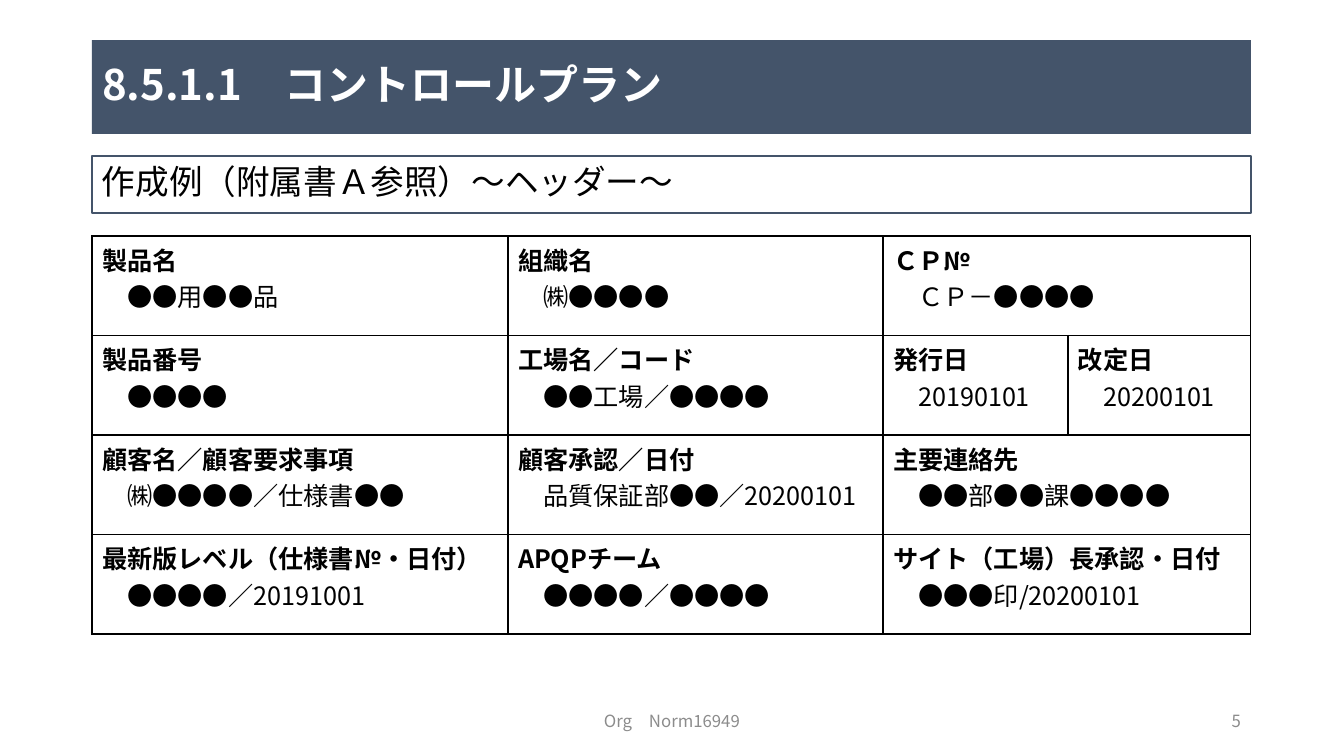
from dataclasses import dataclass

from lxml.etree import SubElement
from pptx import Presentation
from pptx.dml.color import RGBColor
from pptx.enum.shapes import MSO_SHAPE as Preset
from pptx.enum.text import MSO_ANCHOR as Anchor, MSO_AUTO_SIZE as AutoSize, PP_ALIGN as Align
from pptx.oxml.ns import qn
from pptx.util import Pt

EMU_PER_PIXEL = 914400 / 100.8
LEFT, WIDTH = 92, 1159


@dataclass(frozen=True)
class Theme:
    """Font, colours and type sizes of the slide."""
    font: str = "Noto Sans CJK JP"
    navy: str = "44546A"
    white: str = "FFFFFF"
    black: str = "000000"
    grey: str = "8C8C8C"
    title: int = 30
    subtitle: int = 24
    cell: int = 18
    footer: int = 12
    line: int = 1


THEME = Theme()
COLUMN_WIDTHS = (416, 375, 185, 183)
TABLE_TOP, TABLE_HEIGHT = 236, 398

# Each row holds (label, value) pairs; the last pair spans any columns left over.
HEADER_FIELDS = (
    (("製品名", "●●用●●品"), ("組織名", "㈱●●●●"), ("ＣＰ№", "ＣＰ－●●●●")),
    (("製品番号", "●●●●"), ("工場名／コード", "●●工場／●●●●"),
     ("発行日", "20190101"), ("改定日", "20200101")),
    (("顧客名／顧客要求事項", "㈱●●●●／仕様書●●"),
     ("顧客承認／日付", "品質保証部●●／20200101"),
     ("主要連絡先", "●●部●●課●●●●")),
    (("最新版レベル（仕様書№・日付）", "●●●●／20191001"),
     ("APQPチーム", "●●●●／●●●●"),
     ("サイト（工場）長承認・日付", "●●●印/20200101")),
)


def px(pixels):
    """Turn pixels into EMU."""
    return round(pixels * EMU_PER_PIXEL)


def box(left, top, width, height):
    """Turn a pixel box into EMU lengths."""
    return tuple(px(length) for length in (left, top, width, height))


def rgb(colour):
    """Turn a hex string into a colour."""
    return RGBColor.from_string(colour)


def write(paragraph, text, size, colour, bold=False, align=Align.LEFT):
    """Fill a paragraph with text in the theme font."""
    paragraph.text = text
    paragraph.alignment = align
    font = paragraph.font
    font.name, font.size, font.bold = THEME.font, Pt(size), bold
    font.color.rgb = rgb(colour)
    properties = paragraph._p.pPr.find(qn("a:defRPr"))
    SubElement(properties, qn("a:ea"), typeface=THEME.font)


def set_frame(frame, anchor):
    """Wrap text inside a fixed frame."""
    frame.word_wrap = True
    frame.auto_size = AutoSize.NONE
    frame.vertical_anchor = anchor


def add_title(slide, text):
    """Place the title placeholder as a filled band."""
    title = slide.shapes.title
    title.left, title.top, title.width, title.height = box(LEFT, 40, WIDTH, 94)
    title.fill.solid()
    title.fill.fore_color.rgb = rgb(THEME.navy)
    set_frame(title.text_frame, Anchor.MIDDLE)
    paragraph = title.text_frame.paragraphs[0]
    write(paragraph, text, THEME.title, THEME.white, bold=True)
    paragraph.line_spacing = 0.9


def add_subtitle(slide, text):
    """Add the outlined subtitle box."""
    shape = slide.shapes.add_shape(Preset.RECTANGLE, *box(LEFT, 156, WIDTH, 57))
    shape.shadow.inherit = False
    shape.fill.background()
    shape.line.color.rgb = rgb(THEME.navy)
    shape.line.width = Pt(THEME.line)
    set_frame(shape.text_frame, Anchor.TOP)
    write(shape.text_frame.paragraphs[0], text, THEME.subtitle, THEME.black)


def add_footer(slide, text, left, width, align):
    """Add one grey text box on the footer line."""
    frame = slide.shapes.add_textbox(*box(left, 701, width, 40)).text_frame
    set_frame(frame, Anchor.MIDDLE)
    write(frame.paragraphs[0], text, THEME.footer, THEME.grey, align=align)


def set_borders(cell):
    """Draw a solid line on all four sides of a cell."""
    properties = cell._tc.get_or_add_tcPr()
    for index, side in enumerate(("lnL", "lnR", "lnT", "lnB")):
        line = SubElement(properties, qn(f"a:{side}"), w=str(Pt(THEME.line)))
        fill = SubElement(line, qn("a:solidFill"))
        SubElement(fill, qn("a:srgbClr"), val=THEME.black)
        properties.insert(index, line)


def fill_cell(cell, label, value):
    """Write a bold label with its value, set in by one character, below."""
    frame = cell.text_frame
    write(frame.paragraphs[0], label, THEME.cell, THEME.black, bold=True)
    write(frame.add_paragraph(), f"\u3000{value}", THEME.cell, THEME.black)


def add_header_table(slide):
    """Add the control plan header table."""
    row_count, column_count = len(HEADER_FIELDS), len(COLUMN_WIDTHS)
    table = slide.shapes.add_table(
        row_count, column_count, *box(LEFT, TABLE_TOP, WIDTH, TABLE_HEIGHT)).table
    table.first_row = table.horz_banding = False
    for column, width in zip(table.columns, COLUMN_WIDTHS):
        column.width = px(width)
    for row in table.rows:
        row.height = px(TABLE_HEIGHT / row_count)
    for cell in table.iter_cells():
        cell.fill.background()
        set_borders(cell)
    for row_index, fields in enumerate(HEADER_FIELDS):
        last = len(fields) - 1
        if last < column_count - 1:
            table.cell(row_index, last).merge(table.cell(row_index, column_count - 1))
        for column_index, (label, value) in enumerate(fields):
            fill_cell(table.cell(row_index, column_index), label, value)


def main():
    """Build and save the slide."""
    presentation = Presentation()
    presentation.slide_width, presentation.slide_height = px(1344), px(756)
    slide = presentation.slides.add_slide(presentation.slide_layouts[5])
    add_title(slide, "8.5.1.1\u3000コントロールプラン")
    add_subtitle(slide, "作成例（附属書Ａ参照）～ヘッダー～")
    add_header_table(slide)
    add_footer(slide, "Org\u3000Norm16949", 445, 454, Align.CENTER)
    add_footer(slide, "5", 949, 302, Align.RIGHT)
    presentation.save("out.pptx")


main()
